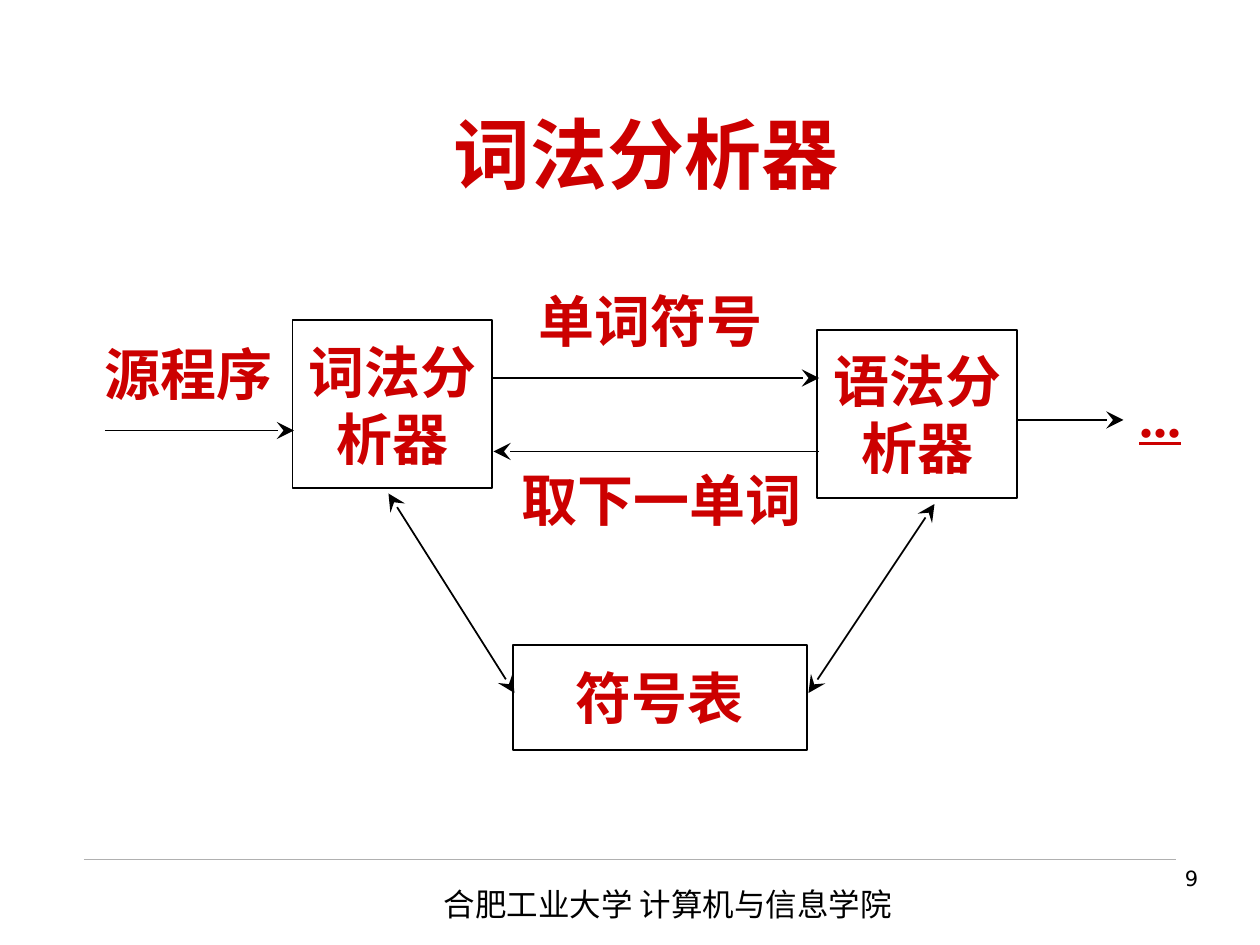
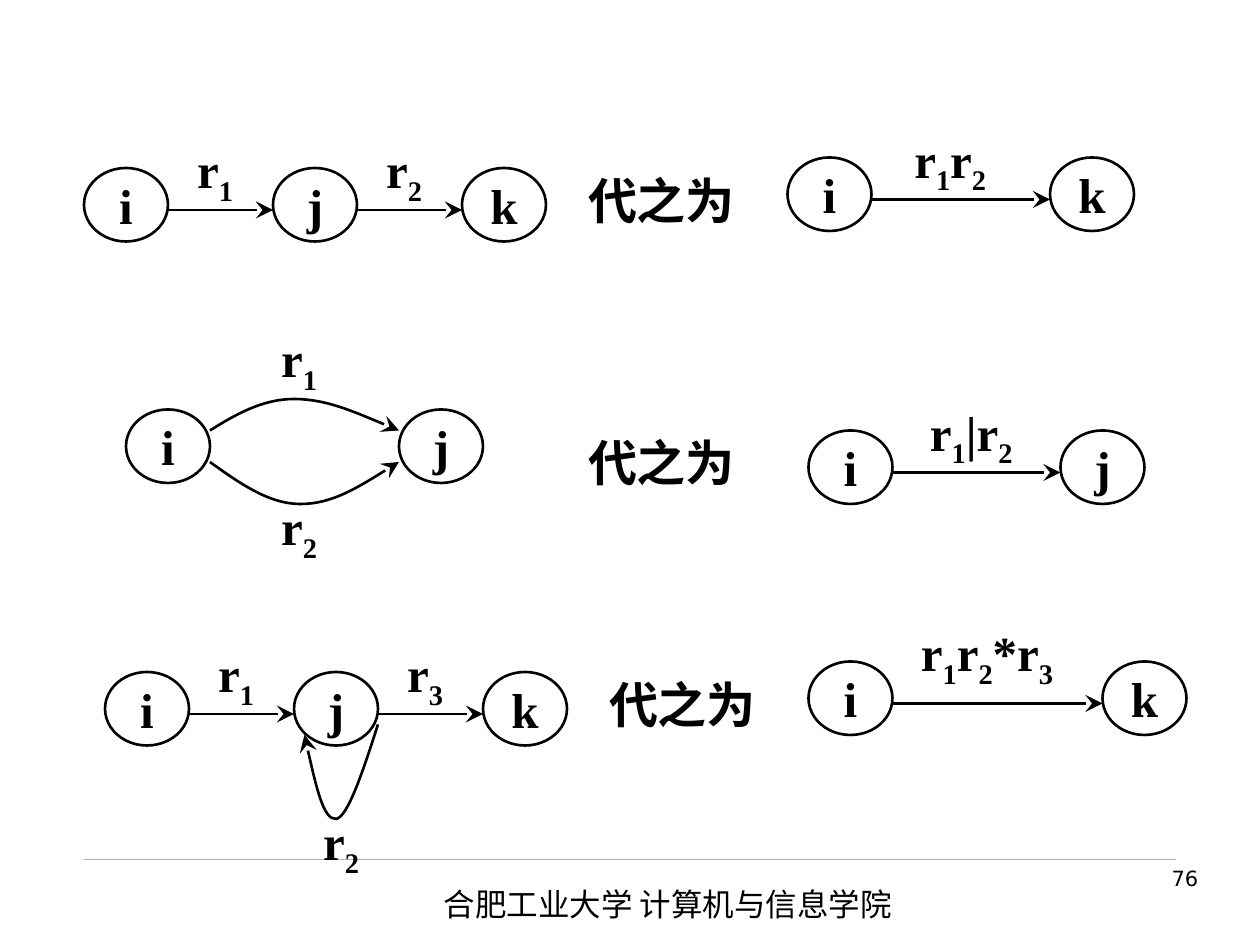
from dataclasses import dataclass
from itertools import groupby

from lxml.etree import SubElement
from pptx import Presentation
from pptx.dml.color import RGBColor as RGB
from pptx.enum.shapes import MSO_CONNECTOR as CONN, MSO_SHAPE as SHAPE
from pptx.enum.text import MSO_ANCHOR as ANCHOR, PP_ALIGN as ALIGN
from pptx.oxml.ns import qn
from pptx.util import Inches, Pt


@dataclass(frozen=True)
class Style:
    size: int
    color: RGB
    font: str = "Times New Roman"
    bold: bool = True
    underline: bool = False
    align: ALIGN = ALIGN.CENTER
    anchor: ANCHOR = ANCHOR.MIDDLE
    wrap: bool = False


class Theme:
    black, red, rule = RGB(0, 0, 0), RGB(0xCC, 0, 0), RGB(0xB0, 0xB0, 0xB0)
    cjk = "Noto Sans CJK SC"
    title = Style(44, red, cjk, wrap=True)
    flow = Style(32, red)
    more = Style(32, red, underline=True)
    graph = Style(28, black)
    footer = Style(18, black, cjk, False, align=ALIGN.LEFT, anchor=ANCHOR.TOP, wrap=True)
    number = Style(12, black, "DejaVu Sans", False, align=ALIGN.RIGHT,
                   anchor=ANCHOR.TOP, wrap=True)
    rule_w, flow_w, graph_w = 0.25, 1, 1.5


# The slide is a grid of 120 columns by 90 rows, 12 cells to the inch
COLS, ROWS, CELLS = 120, 90, 12
NODE_W, NODE_H = 8, 7
LABEL_W, LABEL_H = 11, 7


def cells(*values):
    return [Inches(v / CELLS) for v in values]


# Shared drawing helpers
def style_run(r, style):
    f = r.font
    f.size, f.bold, f.name = Pt(style.size), style.bold, style.font
    f.underline = style.underline or None
    f.color.rgb = style.color
    SubElement(r._r.get_or_add_rPr(), qn("a:ea"), typeface=Theme.cjk)


def write(sp, text, style):
    tf = sp.text_frame
    tf.text = text
    tf.word_wrap, tf.vertical_anchor = style.wrap, style.anchor
    for p in tf.paragraphs:
        p.alignment = style.align
        for r in p.runs:
            style_run(r, style)


def add_text(s, box, text, style):
    sp = s.shapes.add_textbox(*cells(*box))
    write(sp, text, style)
    return sp


def add_label(s, box, text):
    """Write an expression whose digits are subscripts."""
    sp = add_text(s, box, "", Theme.graph)
    p = sp.text_frame.paragraphs[0]
    for is_sub, chars in groupby(text, str.isdigit):
        r = p.add_run()
        r.text = "".join(chars)
        style_run(r, Theme.graph)
        if is_sub:
            r._r.get_or_add_rPr().set("baseline", "-25000")


def add_outline(s, kind, box, text, style, width):
    sp = s.shapes.add_shape(kind, *cells(*box))
    sp.shadow.inherit = False
    sp.fill.background()
    sp.line.color.rgb, sp.line.width = Theme.black, Pt(width)
    write(sp, text, style)


def add_heads(sp, start=False, end=True):
    ln = sp.line._get_or_add_ln()
    for tag, shown in (("a:headEnd", start), ("a:tailEnd", end)):
        if shown:
            SubElement(ln, qn(tag), type="stealth", w="lg", len="lg")


def add_line(s, start, end, width, color=Theme.black):
    c = s.shapes.add_connector(CONN.STRAIGHT, *cells(*start, *end))
    c.line.color.rgb, c.line.width = color, Pt(width)
    SubElement(c._element.spPr, qn("a:effectLst"))
    return c


def add_arrow(s, start, end, width, both=False):
    add_heads(add_line(s, start, end, width), start=both)


def add_curve(s, col, row, points):
    """Draw a Bezier arrow: a start, then three points for each segment."""
    pts = [cells(col + x, row + y) for x, y in points]
    fb = s.shapes.build_freeform(*pts[0])
    fb.add_line_segments(pts[1:], close=False)
    sp = fb.convert_to_shape()
    sp.shadow.inherit = False
    sp.fill.background()
    sp.line.color.rgb, sp.line.width = Theme.black, Pt(Theme.graph_w)
    add_heads(sp)
    # Turn each three straight steps into one cubic segment
    steps = list(sp._element.iter(qn("a:lnTo")))
    for i in range(0, len(steps), 3):
        cubic = SubElement(steps[i].getparent(), qn("a:cubicBezTo"))
        for step in steps[i:i + 3]:
            cubic.append(step[0])
            step.getparent().remove(step)


# Slide frame: rule, footer and page number
def add_base(prs, number):
    s = prs.slides.add_slide(prs.slide_layouts[6])
    add_line(s, (8, 81.85), (112, 81.85), Theme.rule_w, Theme.rule)
    add_text(s, (41.1, 83.7, 56.6, 4.8), "合肥工业大学 计算机与信息学院", Theme.footer)
    add_text(s, (89.3, 81.85, 26, 6.2), number, Theme.number)
    return s


# Slide: lexer, parser and symbol table
def add_flow(s, col, row):
    def at(x, y, *size):
        return (col + x, row + y, *size)

    for box, text in ((at(19.85, 4.5, 19, 16), "词法分\n析器"),
                      (at(69.85, 5.4, 19, 16), "语法分\n析器"),
                      (at(40.85, 35.4, 28, 10), "符号表")):
        add_outline(s, SHAPE.RECTANGLE, box, text, Theme.flow, Theme.flow_w)

    for box, text in ((at(0, 5, 20, 9), "源程序"),
                      (at(41, 0, 26, 9), "单词符号"),
                      (at(40, 17, 30, 9), "取下一单词")):
        add_text(s, box, text, Theme.flow)
    add_text(s, at(97, 9, 11, 9), "...", Theme.more)

    for start, end, both in ((at(2, 15), at(20, 15), False),
                             (at(39, 10), at(70, 10), False),
                             (at(70, 17), at(39, 17), False),
                             (at(29, 21), at(41, 40), True),
                             (at(81, 22), at(69, 40), True),
                             (at(89, 14), at(99, 14), False)):
        add_arrow(s, start, end, Theme.flow_w, both)


def lexer_slide(prs):
    s = add_base(prs, "9")
    add_text(s, (9, 7, 105, 15), "词法分析器", Theme.title)
    add_flow(s, 8, 26)


# Slide: rules that replace a piece of a state graph by one edge
def add_nodes(s, col, row, names, pitch):
    for i, name in enumerate(names):
        add_outline(s, SHAPE.OVAL, (col + i * pitch, row, NODE_W, NODE_H),
                    name, Theme.graph, Theme.graph_w)


def add_chain(s, col, row, names, labels, pitch=18, shift=7, rise=3, label_w=LABEL_W):
    add_nodes(s, col, row, names, pitch)
    for i, label in enumerate(labels):
        x = col + i * pitch
        add_arrow(s, (x + NODE_W, row + 4), (x + pitch, row + 4), Theme.graph_w)
        add_label(s, (x + shift, row - rise, label_w, LABEL_H), label)


def add_fork(s, col, row):
    add_nodes(s, col, row, "ij", 26)
    add_curve(s, col, row, [(8, 2), (10.4, 0.5), (13, -1), (16, -1),
                            (19, -1), (22.4, 0.5), (26, 2)])
    add_curve(s, col, row, [(8, 5), (10.8, 7), (13.6, 9), (16.6, 9),
                            (19.6, 9), (22.8, 7), (26, 5)])
    add_label(s, (col + 11, row - 8, LABEL_W, LABEL_H), "r1")
    add_label(s, (col + 11, row + 8, LABEL_W, LABEL_H), "r2")


def add_loop(s, col, row):
    add_chain(s, col, row, "ijk", ("r1", "r3"))
    add_curve(s, col, row, [(26, 5), (24.6, 9.4), (23.1, 13.9), (22, 14),
                            (20.8, 14.1), (19.9, 10), (19, 6)])
    add_label(s, (col + 17, row + 13, LABEL_W, LABEL_H), "r2")


def rules_slide(prs):
    s = add_base(prs, "76")
    for col, row in ((54, 15), (54, 40), (56, 63)):
        add_text(s, (col, row, 18, 8), "代之为", Theme.graph)
    # Left: what is replaced
    add_chain(s, 8, 16, "ijk", ("r1", "r2"))
    add_fork(s, 12, 39)
    add_loop(s, 10, 64)
    # Right: the single edge that replaces it
    add_chain(s, 75, 15, "ik", ["r1r2"], pitch=25, shift=10)
    add_chain(s, 77, 41, "ij", ["r1|r2"], pitch=24, shift=10)
    add_chain(s, 77, 63, "ik", ["r1r2*r3"], pitch=28, shift=8, rise=4, label_w=18)


def main():
    prs = Presentation()
    prs.slide_width, prs.slide_height = cells(COLS, ROWS)
    lexer_slide(prs)
    rules_slide(prs)
    prs.save("out.pptx")


if __name__ == "__main__":
    main()
